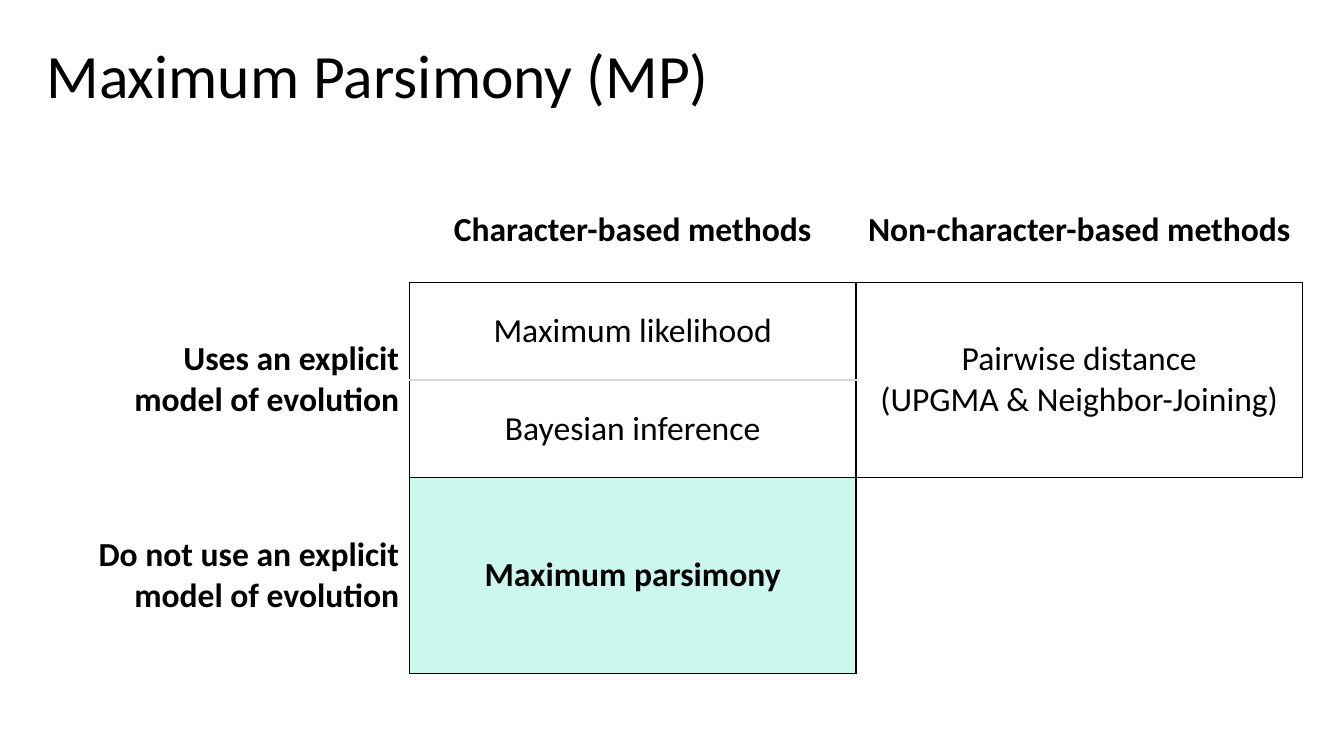
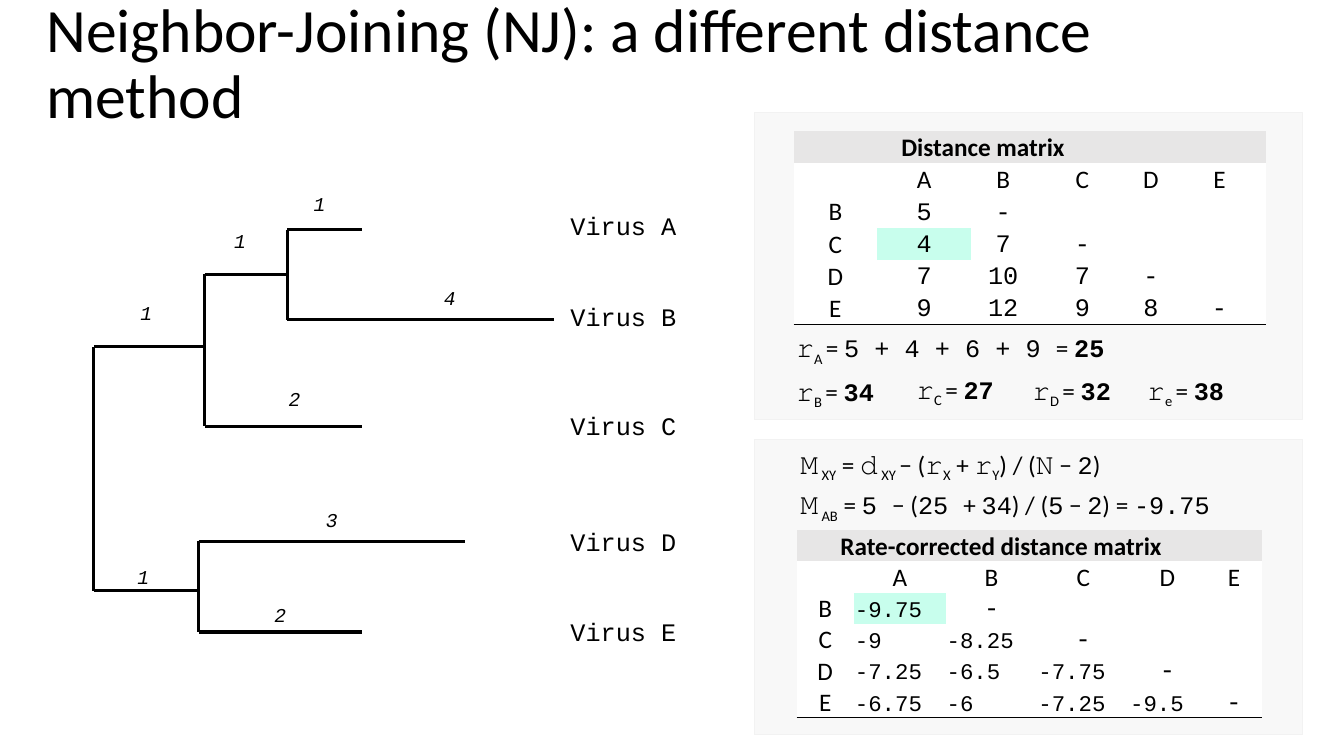
import pptx
import pptx.dml.color
import pptx.enum.shapes
import pptx.enum.text
import pptx.oxml
import pptx.oxml.ns
import pptx.util

Inches = pptx.util.Inches
Pt = pptx.util.Pt
ALIGN = pptx.enum.text.PP_ALIGN
ANCHOR = pptx.enum.text.MSO_ANCHOR
qn = pptx.oxml.ns.qn

SANS, MONO = "Calibri", "Courier New"
BLACK, WHITE = "000000", "FFFFFF"
PANEL, HEADING, RULE = "F2F2F2", "E7E6E6", "D9D9D9"
MINT, HIGHLIGHT = "CBF7ED", "C8FEED"
NO_GRID_STYLE = "{2D5ABB26-0587-4C30-8999-92F81FD0307C}"


def rgb(hex_colour):
    return pptx.dml.color.RGBColor.from_string(hex_colour)


def format_run(run, size, font=SANS, bold=False, italic=False):
    run.font.size = Pt(size)
    run.font.name = font
    run.font.bold = bold
    run.font.italic = italic
    run.font.color.rgb = rgb(BLACK)


def fill_cell(cell, colour=None, borders=None):
    """Set the fill and the borders, a dict of side letters (L, R, T, B) to colours."""
    properties = cell._tc.get_or_add_tcPr()
    for side in "LRTB":
        if side in (borders or {}):
            properties.append(pptx.oxml.parse_xml(
                f'<a:ln{side} {pptx.oxml.ns.nsdecls("a")} w="12700"><a:solidFill>'
                f'<a:srgbClr val="{borders[side]}"/></a:solidFill></a:ln{side}>'))
    if colour:
        cell.fill.solid()
        cell.fill.fore_color.rgb = rgb(colour)
    else:
        cell.fill.background()


def write_cell(cell, text, size, font=SANS, bold=False, align=ALIGN.CENTER):
    cell.text_frame.text = text
    for paragraph in cell.text_frame.paragraphs:
        paragraph.alignment = align
        for run in paragraph.runs:
            format_run(run, size, font, bold)


class Deck:
    def __init__(self):
        self.presentation = pptx.Presentation()
        self.presentation.slide_width = Inches(13.33)
        self.presentation.slide_height = Inches(7.5)
        self.slide = None

    def new_slide(self, heading, top):
        self.slide = self.presentation.slides.add_slide(self.presentation.slide_layouts[5])
        title = self.slide.shapes.title
        title.left, title.top = Inches(0.36), Inches(top)
        title.width, title.height = Inches(12.65), Inches(0.76)
        frame = title.text_frame
        frame.text = heading
        frame.auto_size = pptx.enum.text.MSO_AUTO_SIZE.NONE
        frame.vertical_anchor = ANCHOR.MIDDLE
        frame.paragraphs[0].alignment = ALIGN.LEFT
        frame.paragraphs[0].line_spacing = 0.9
        format_run(frame.paragraphs[0].runs[0], 44)

    def panel(self, top, height):
        """Draw a half-transparent grey backdrop in the right column."""
        backdrop = self.slide.shapes.add_shape(
            pptx.enum.shapes.MSO_SHAPE.RECTANGLE,
            Inches(7.48), Inches(top), Inches(5.44), Inches(height))
        backdrop.shadow.inherit = False
        backdrop.fill.solid()
        backdrop.fill.fore_color.rgb = rgb(PANEL)
        colour = backdrop._element.spPr.find(qn("a:solidFill")).find(qn("a:srgbClr"))
        colour.append(pptx.oxml.parse_xml(
            f'<a:alpha {pptx.oxml.ns.nsdecls("a")} val="50000"/>'))
        backdrop.line.color.rgb = rgb(PANEL)
        backdrop.line.width = Pt(0.75)

    def text_frame(self, left, top, width, height):
        box = self.slide.shapes.add_textbox(
            Inches(left), Inches(top), Inches(width), Inches(height))
        box.text_frame.word_wrap = True
        return box.text_frame

    def label(self, text, left, middle, width, size, align=ALIGN.LEFT, italic=False):
        frame = self.text_frame(left, middle - 0.2, width, 0.4)
        frame.vertical_anchor = ANCHOR.MIDDLE
        frame.text = text
        frame.paragraphs[0].alignment = align
        format_run(frame.paragraphs[0].runs[0], size, MONO, italic=italic)

    def formula(self, left, top, width, pieces):
        """Write (text, style) pieces; the style is plain, sub, mono or bold."""
        paragraph = self.text_frame(left, top, width, 0.4).paragraphs[0]
        for text, style in pieces:
            run = paragraph.add_run()
            run.text = text
            format_run(run, 18, MONO if style in ("mono", "bold") else SANS, style == "bold")
            if style == "sub":
                run.font._element.set("baseline", "-25000")

    def line(self, x1, y1, x2, y2):
        stroke = self.slide.shapes.add_connector(
            pptx.enum.shapes.MSO_CONNECTOR.STRAIGHT,
            Inches(x1), Inches(y1), Inches(x2), Inches(y2))
        stroke.line.color.rgb = rgb(BLACK)
        stroke.line.width = Pt(2.25)
        stroke._element.spPr.append(pptx.oxml.parse_xml(
            f'<a:effectLst {pptx.oxml.ns.nsdecls("a")}/>'))

    def table(self, left, top, widths, heights):
        grid = self.slide.shapes.add_table(
            len(heights), len(widths), Inches(left), Inches(top),
            Inches(sum(widths)), Inches(sum(heights))).table
        grid.first_row = grid.horz_banding = False
        grid._tbl.tblPr.find(qn("a:tableStyleId")).text = NO_GRID_STYLE
        for column, width in zip(grid.columns, widths):
            column.width = Inches(width)
        for row, height in zip(grid.rows, heights):
            row.height = Inches(height)
        return grid

    def matrix(self, left, top, widths, row_height, heading, triangle, highlight,
               size=18, align=ALIGN.CENTER):
        """Draw a lower-triangular matrix of viruses A to E under a heading bar."""
        names = "ABCDE"
        rows = [[heading], ["", *names]]
        rows += [[name, *values, "-"] for name, values in zip(names[1:], triangle)]
        grid = self.table(left, top, widths, [row_height] * len(rows))
        for r, row in enumerate(rows):
            for c in range(len(widths)):
                cell = grid.cell(r, c)
                cell.margin_left = cell.margin_right = cell.margin_top = Inches(0.01)
                cell.margin_bottom = 0
                cell.vertical_anchor = ANCHOR.BOTTOM
                colour = HEADING if r == 0 else HIGHLIGHT if (r, c) == highlight else WHITE
                fill_cell(cell, colour, {"B": BLACK} if r == len(rows) - 1 else None)
                text = row[c] if c < len(row) else ""
                if r < 2 or c == 0:
                    write_cell(cell, text, 18, bold=r == 0)
                elif text == "-":
                    write_cell(cell, text, 18, MONO)
                else:
                    write_cell(cell, text, size, MONO, align=align)
        grid.cell(0, 0).merge(grid.cell(0, 4))


def methods_slide(deck):
    deck.new_slide("Maximum Parsimony (MP)", 0.4)
    grid = deck.table(0.46, 1.77, [3.6, 4.43, 4.43], [1.03, 0.97, 0.97, 1.94])
    texts = {
        (0, 1): "Character-based methods",
        (0, 2): "Non-character-based methods",
        (1, 0): "Uses an explicit\nmodel of evolution",
        (1, 1): "Maximum likelihood",
        (1, 2): "Pairwise distance\n(UPGMA & Neighbor-Joining)",
        (2, 1): "Bayesian inference",
        (3, 0): "Do not use an explicit\nmodel of evolution",
        (3, 1): "Maximum parsimony",
    }
    black_sides = {
        (0, 1): "B", (0, 2): "B", (1, 0): "R", (2, 0): "R", (3, 0): "R",
        (1, 1): "LRT", (2, 1): "LRB", (3, 1): "LRTB",
        (1, 2): "LRTB", (2, 2): "LRB", (3, 2): "LT",
    }
    grey_sides = {(1, 1): "B", (2, 1): "T"}
    parsimony = (3, 1)
    for r in range(4):
        for c in range(3):
            place, cell = (r, c), grid.cell(r, c)
            cell.vertical_anchor = ANCHOR.MIDDLE
            borders = dict.fromkeys(black_sides.get(place, ""), BLACK)
            borders.update(dict.fromkeys(grey_sides.get(place, ""), RULE))
            fill_cell(cell, MINT if place == parsimony else None, borders)
            if place in texts:
                write_cell(cell, texts[place], 24, bold=r == 0 or c == 0 or place == parsimony,
                           align=ALIGN.RIGHT if c == 0 else ALIGN.CENTER)
    for c in (0, 2):
        grid.cell(1, c).merge(grid.cell(2, c))


def draw_tree(deck):
    forks = [(2.85, 2.28, 3.17), (2.03, 2.72, 4.23), (0.93, 3.44, 5.86), (1.97, 5.37, 6.27)]
    for x, top, bottom in forks:
        deck.line(x, top, x, bottom)

    # start x, end x, y, branch length, centre of its label
    branches = [
        (2.85, 3.59, 2.28, "1", 3.17, 2.02),
        (2.85, 5.49, 3.17, "4", 4.46, 2.95),
        (2.03, 2.85, 2.72, "1", 2.38, 2.39),
        (2.03, 3.59, 4.23, "2", 2.92, 3.96),
        (0.93, 2.03, 3.44, "1", 1.45, 3.1),
        (0.93, 1.97, 5.86, "1", 1.42, 5.72),
        (1.97, 4.61, 5.37, "3", 3.29, 5.16),
        (1.97, 3.59, 6.27, "2", 2.78, 6.1),
    ]
    for start, end, y, length, label_x, label_y in branches:
        deck.line(start, y, end, y)
        deck.label(length, label_x - 0.35, label_y, 0.7, 14, ALIGN.CENTER, italic=True)

    for name, middle in zip("ABCDE", (2.24, 3.14, 4.22, 5.37, 6.26)):
        deck.label(f"Virus {name}", 5.56, middle, 1.4, 18)


def neighbor_joining_slide(deck):
    deck.new_slide("Neighbor-Joining (NJ): a different distance method", 0.27)
    deck.panel(4.36, 2.93)
    deck.panel(1.12, 3.04)
    draw_tree(deck)

    deck.matrix(7.87, 1.3, [0.83, 0.93, 0.64, 0.93, 0.43, 0.93], 0.32, "Distance matrix",
                [["5"], ["4", "7"], ["7", "10", "7"], ["9", "12", "9", "8"]], (3, 1))
    deck.formula(7.8, 3.25, 3.56, [
        ("𝚛", "plain"), ("A ", "sub"), ("= ", "plain"), ("5 + 4 + 6 + 9 ", "mono"),
        ("= ", "plain"), ("25", "bold")])
    sums = [("B", "34", 7.8, 3.68), ("C", "27", 8.99, 3.66),
            ("D", "32", 10.14, 3.67), ("e", "38", 11.28, 3.67)]
    for name, total, left, top in sums:
        deck.formula(left, top, 1.2, [
            ("𝚛", "plain"), (f"{name} ", "sub"), ("= ", "plain"), (total, "bold")])

    deck.formula(7.84, 4.41, 4.51, [
        ("𝙼", "plain"), (" XY", "sub"), (" = 𝚍", "plain"), (" XY ", "sub"),
        ("− (𝚛", "plain"), ("X", "sub"), (" + 𝚛", "plain"), ("Y", "sub"),
        (") / (𝙽 − ", "plain"), ("2", "mono"), (")", "plain")])
    deck.formula(7.84, 4.81, 4.51, [
        ("𝙼", "plain"), (" AB", "sub"), (" = ", "plain"), ("5 ", "mono"),
        ("− (", "plain"), ("25 ", "mono"), ("+ ", "plain"), ("34", "mono"),
        (") / (", "plain"), ("5", "mono"), (" − ", "plain"), ("2", "mono"),
        (") = ", "plain"), ("-9.75", "mono")])
    deck.matrix(7.9, 5.26, [0.57, 0.91, 0.91, 0.91, 0.76, 0.56], 0.31,
                "Rate-corrected distance matrix",
                [["-9.75"], ["-9", "-8.25"], ["-7.25", "-6.5", "-7.75"],
                 ["-6.75", "-6", "-7.25", "-9.5"]], (2, 1), 16, ALIGN.LEFT)


def main():
    deck = Deck()
    methods_slide(deck)
    neighbor_joining_slide(deck)
    deck.presentation.save("out.pptx")


if __name__ == "__main__":
    main()
